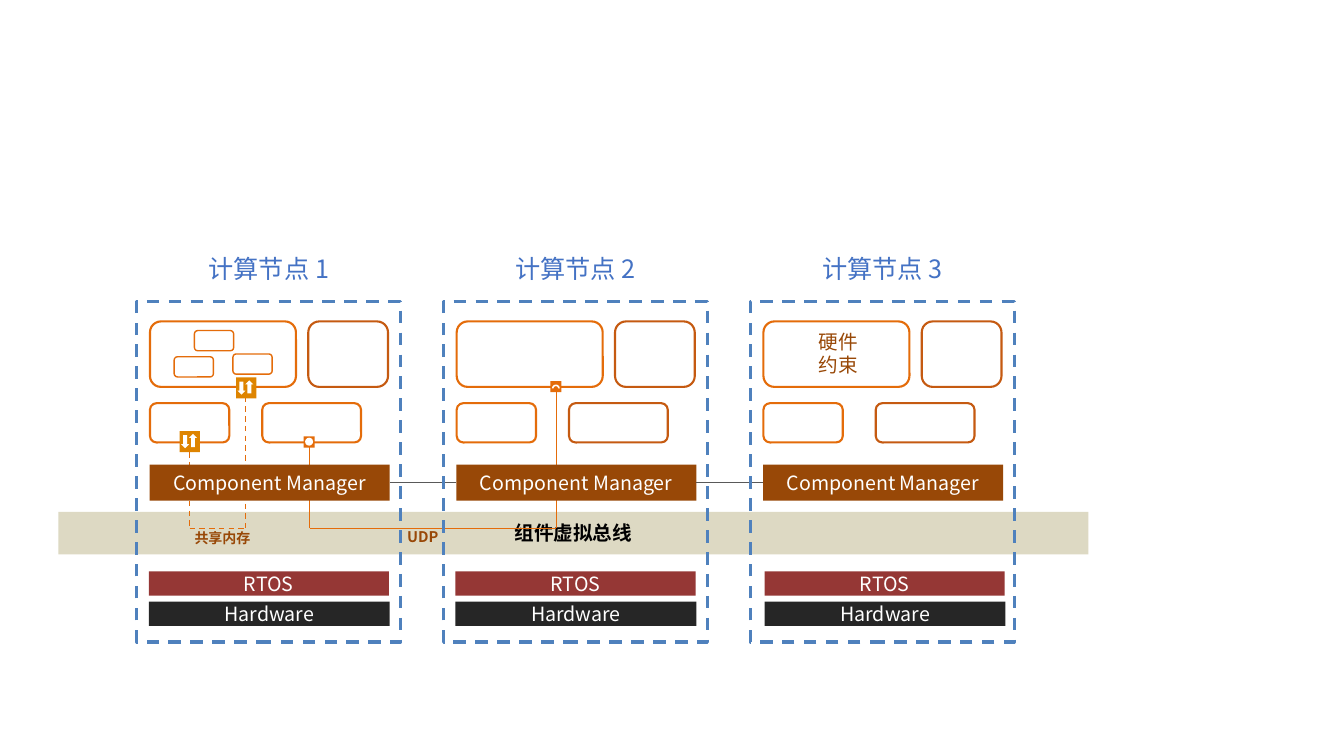
from dataclasses import dataclass

from lxml import etree
from pptx import Presentation
from pptx.dml.color import RGBColor
from pptx.enum.dml import MSO_LINE
from pptx.enum.shapes import MSO_CONNECTOR, MSO_SHAPE
from pptx.enum.text import MSO_ANCHOR, MSO_AUTO_SIZE, PP_ALIGN
from pptx.oxml.ns import qn
from pptx.shapes.autoshape import Shape
from pptx.shapes.connector import Connector
from pptx.slide import Slide
from pptx.text.text import TextFrame
from pptx.util import Cm, Pt

RECTANGLE = MSO_SHAPE.RECTANGLE
ROUNDED = MSO_SHAPE.ROUNDED_RECTANGLE
ELLIPSE = MSO_SHAPE.OVAL
BLOCK_ARC = MSO_SHAPE.BLOCK_ARC
RIGHT_ARROW = MSO_SHAPE.RIGHT_ARROW
STRAIGHT = MSO_CONNECTOR.STRAIGHT
DASH = MSO_LINE.DASH
CENTER = PP_ALIGN.CENTER
MIDDLE = MSO_ANCHOR.MIDDLE
FIT_TEXT = MSO_AUTO_SIZE.SHAPE_TO_FIT_TEXT
BOTTOM_SITE, LEFT_SITE, RIGHT_SITE = 2, 1, 3


@dataclass(frozen=True)
class Theme:
    font: str = "Noto Sans CJK SC"
    white: str = "FFFFFF"
    black: str = "000000"
    bus: str = "DDD9C3"
    title: str = "4472C4"
    frame: str = "4F81BD"
    brown: str = "984807"
    orange: str = "E46C0A"
    rust: str = "C55A11"
    link: str = "595959"
    rtos: str = "953735"
    hardware: str = "262626"
    port: str = "DE8400"
    title_size: float = 18
    body_size: float = 14
    udp_size: float = 10.5
    memory_size: float = 10


THEME = Theme()


@dataclass(frozen=True)
class Box:
    left: float
    top: float
    width: float
    height: float

    def moved(self, across: float) -> "Box":
        return Box(self.left + across, self.top, self.width, self.height)


@dataclass(frozen=True)
class Label:
    text: str
    color: str = THEME.white
    size: float = THEME.body_size
    bold: bool = False


@dataclass(frozen=True)
class Stroke:
    color: str
    width: float = 1
    dashed: bool = False


@dataclass(frozen=True)
class Node:
    number: int
    wide_color: str = THEME.rust
    platform_shift: float = 0


@dataclass(frozen=True)
class Wire:
    start: tuple[float, float]
    end: tuple[float, float]
    dashed: bool = False
    from_small_component: bool = False


NODES = [Node(1, wide_color=THEME.orange), Node(2), Node(3, platform_shift=0.06)]
NODE_LEFT, NODE_PITCH = 3.45, 7.73
BUS = Box(1.47, 12.9, 25.96, 1.07)
FRAME = Box(0, 7.59, 6.65, 8.59)
TITLE = Box(1, 6.27, 4.65, 1.02)
LARGE = Box(0.33, 8.1, 3.68, 1.65)
TALL = Box(4.32, 8.1, 2.01, 1.65)
SMALL = Box(0.33, 10.16, 2, 0.99)
WIDE = Box(3.16, 10.16, 2.49, 0.99)
MANAGER = Box(0.32, 11.71, 6.05, 0.91)
RTOS = Box(0.3, 14.4, 6.05, 0.61)
HARDWARE = Box(0.3, 15.16, 6.07, 0.61)

BUS_Y, SMALL_BOTTOM, LARGE_BOTTOM = 13.31, 11.15, 9.75
SMALL_X, LARGE_X, WIDE_X, REMOTE_X = 4.78, 6.18, 7.8, 14.02
WIRES = [
    Wire((LARGE_X, LARGE_BOTTOM), (LARGE_X, BUS_Y), dashed=True),
    Wire((SMALL_X, SMALL_BOTTOM), (SMALL_X, BUS_Y), dashed=True, from_small_component=True),
    Wire((SMALL_X, BUS_Y), (LARGE_X, BUS_Y), dashed=True),
    Wire((REMOTE_X, LARGE_BOTTOM), (REMOTE_X, BUS_Y)),
    Wire((WIDE_X, SMALL_BOTTOM), (WIDE_X, BUS_Y)),
    Wire((WIDE_X, BUS_Y), (REMOTE_X, BUS_Y)),
]
MODULES = [(4.9, 8.33), (4.39, 8.99), (5.87, 8.92)]
MEMORY_PORTS = [(4.52, 10.87), (5.94, 9.52)]
CAPTIONS = [
    (Box(18.8, 8.18, 4.65, 1.45), Label("硬件\n约束", THEME.brown)),
    (Box(3.28, 13.21, 4.65, 0.69), Label("共享内存", THEME.brown, THEME.memory_size, True)),
    (Box(8.33, 13.18, 4.65, 0.74), Label("UDP", THEME.brown, THEME.udp_size, True)),
]


def write_label(frame: TextFrame, label: Label) -> None:
    frame.word_wrap = True
    for index, text in enumerate(label.text.split("\n")):
        paragraph = frame.add_paragraph() if index else frame.paragraphs[0]
        paragraph.alignment = CENTER
        run = paragraph.add_run()
        run.text = text
        run.font.size = Pt(label.size)
        run.font.bold = label.bold
        run.font.color.rgb = RGBColor.from_string(label.color)
        run.font.name = THEME.font
        east_asian = etree.SubElement(run.font._element, qn("a:ea"))
        east_asian.set("typeface", THEME.font)


def draw_shape(slide: Slide, kind: MSO_SHAPE, box: Box, fill: str | None = None,
               stroke: Stroke | None = None, label: Label | None = None,
               rotation: float = 0) -> Shape:
    shape = slide.shapes.add_shape(kind, Cm(box.left), Cm(box.top), Cm(box.width), Cm(box.height))
    shape.shadow.inherit = False
    shape.rotation = rotation
    if fill:
        shape.fill.solid()
        shape.fill.fore_color.rgb = RGBColor.from_string(fill)
    else:
        shape.fill.background()
    if stroke:
        apply_stroke(shape, stroke)
    else:
        shape.line.fill.background()
    if label:
        shape.text_frame.vertical_anchor = MIDDLE
        write_label(shape.text_frame, label)
    return shape


def apply_stroke(shape: Shape | Connector, stroke: Stroke) -> None:
    shape.line.color.rgb = RGBColor.from_string(stroke.color)
    shape.line.width = Pt(stroke.width)
    if stroke.dashed:
        shape.line.dash_style = DASH


def draw_text(slide: Slide, box: Box, label: Label) -> None:
    shape = slide.shapes.add_textbox(Cm(box.left), Cm(box.top), Cm(box.width), Cm(box.height))
    write_label(shape.text_frame, label)
    shape.text_frame.auto_size = FIT_TEXT


def draw_line(slide: Slide, start: tuple[float, float], end: tuple[float, float],
              stroke: Stroke) -> Connector:
    connector = slide.shapes.add_connector(STRAIGHT, *(Cm(value) for value in (*start, *end)))
    apply_stroke(connector, stroke)
    etree.SubElement(connector._element.spPr, qn("a:effectLst"))
    return connector


def draw_components(slide: Slide, node: Node, left: float) -> Shape:
    orange, rust = Stroke(THEME.orange, 1.5), Stroke(THEME.rust, 1.5)
    small = draw_shape(slide, ROUNDED, SMALL.moved(left), stroke=orange)
    draw_shape(slide, ROUNDED, LARGE.moved(left), stroke=orange)
    draw_shape(slide, ROUNDED, WIDE.moved(left), stroke=Stroke(node.wide_color, 1.5))
    draw_shape(slide, ROUNDED, TALL.moved(left), stroke=rust)
    return small


def draw_memory_port(slide: Slide, left: float, top: float) -> None:
    draw_shape(slide, RECTANGLE, Box(left, top, 0.53, 0.51), THEME.port, rotation=270)
    for across, down, rotation in ((-0.02, 0.16, 90), (0.18, 0.13, 270)):
        arrow = Box(left + across, top + down, 0.33, 0.2)
        draw_shape(slide, RIGHT_ARROW, arrow, THEME.white, rotation=rotation)


def draw_network_ports(slide: Slide) -> None:
    draw_shape(slide, RECTANGLE, Box(7.65, 11, 0.28, 0.28), THEME.orange)
    draw_shape(slide, ELLIPSE, Box(7.69, 11.03, 0.2, 0.2), THEME.white)
    draw_shape(slide, RECTANGLE, Box(13.87, 9.6, 0.28, 0.28), THEME.orange, rotation=180)
    arc = draw_shape(slide, BLOCK_ARC, Box(13.91, 9.69, 0.2, 0.2), THEME.white)
    for index, value in enumerate((108, 216, 0.21)):
        arc.adjustments[index] = value


def main() -> None:
    presentation = Presentation()
    presentation.slide_width, presentation.slide_height = Cm(33.87), Cm(19.05)
    slide = presentation.slides.add_slide(presentation.slide_layouts[6])
    lefts = [NODE_LEFT + index * NODE_PITCH for index in range(len(NODES))]

    draw_shape(slide, RECTANGLE, BUS, THEME.bus,
               label=Label("组件虚拟总线", THEME.black, bold=True))
    for node, left in zip(NODES, lefts):
        draw_text(slide, TITLE.moved(left),
                  Label(f"计算节点 {node.number}", THEME.title, THEME.title_size))
    small_components = [draw_components(slide, node, left) for node, left in zip(NODES, lefts)]

    for wire in WIRES:
        connector = draw_line(slide, wire.start, wire.end, Stroke(THEME.orange, dashed=wire.dashed))
        if wire.from_small_component:
            connector.begin_connect(small_components[0], BOTTOM_SITE)

    managers = [draw_shape(slide, RECTANGLE, MANAGER.moved(left), THEME.brown,
                           label=Label("Component Manager")) for left in lefts]
    for before, after in zip(managers, managers[1:]):
        link = draw_line(slide, (0, 0), (0, 0), Stroke(THEME.link))
        link.begin_connect(before, RIGHT_SITE)
        link.end_connect(after, LEFT_SITE)

    for node, left in zip(NODES, lefts):
        platform_left = left + node.platform_shift
        draw_shape(slide, RECTANGLE, HARDWARE.moved(platform_left), THEME.hardware,
                   label=Label("Hardware"))
        draw_shape(slide, RECTANGLE, RTOS.moved(platform_left), THEME.rtos, label=Label("RTOS"))
    for left, top in MODULES:
        draw_shape(slide, ROUNDED, Box(left, top, 0.99, 0.51), stroke=Stroke(THEME.orange))
    for box, label in CAPTIONS:
        draw_text(slide, box, label)
    draw_network_ports(slide)
    for left in lefts:
        draw_shape(slide, RECTANGLE, FRAME.moved(left), stroke=Stroke(THEME.frame, 2.25, True))
    for left, top in MEMORY_PORTS:
        draw_memory_port(slide, left, top)
    presentation.save("out.pptx")


if __name__ == "__main__":
    main()
